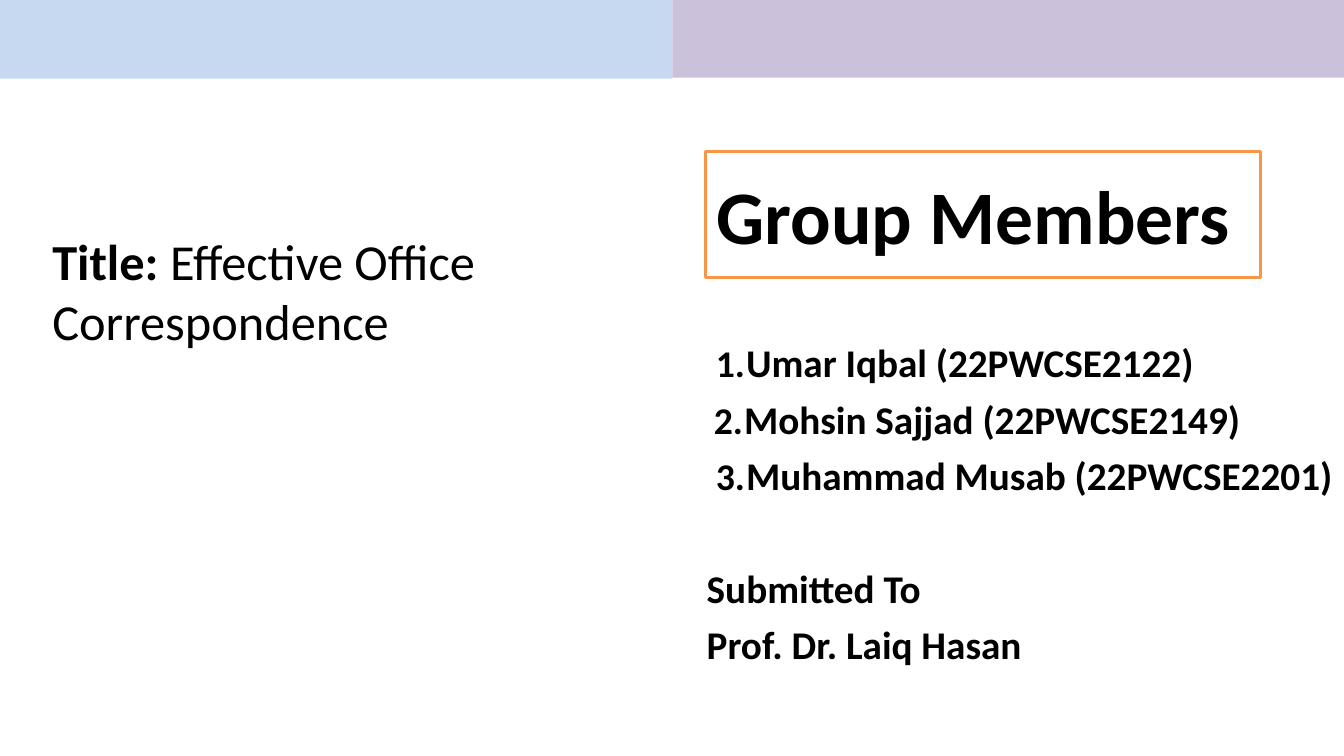
from dataclasses import dataclass

from lxml.etree import SubElement
from pptx import Presentation
from pptx.dml.color import RGBColor
from pptx.enum.shapes import MSO_SHAPE
from pptx.enum.text import MSO_ANCHOR, PP_ALIGN
from pptx.oxml.ns import qn
from pptx.util import Inches, Pt


@dataclass(frozen=True)
class Theme:
    font: str = "Calibri"
    text: RGBColor = RGBColor(0x00, 0x00, 0x00)
    paper: RGBColor = RGBColor(0xFF, 0xFF, 0xFF)
    blue: RGBColor = RGBColor(0xC6, 0xD9, 0xF1)
    purple: RGBColor = RGBColor(0xCC, 0xC1, 0xDA)
    orange: RGBColor = RGBColor(0xF7, 0x96, 0x46)
    heading_size: int = 54
    title_size: int = 36
    body_size: int = 28


THEME = Theme()

MEMBERS = [
    "Umar Iqbal (22PWCSE2122)",
    "Mohsin Sajjad (22PWCSE2149)",
    "Muhammad Musab (22PWCSE2201)",
]
MEMBER_INDENTS = [0.4, 0.38, 0.4]
SUBMITTED_TO = ["Submitted To", "Prof. Dr. Laiq Hasan"]


def add_panel(slide, left, top, width, height, fill, line=None):
    """Add a flat rectangle, outlined only when a line colour is given."""
    shape = slide.shapes.add_shape(
        MSO_SHAPE.RECTANGLE, Inches(left), Inches(top), Inches(width), Inches(height)
    )
    shape.shadow.inherit = False
    shape.fill.solid()
    shape.fill.fore_color.rgb = fill
    if line is None:
        shape.line.fill.background()
    else:
        shape.line.color.rgb = line
        shape.line.width = Pt(2)
    shape.text_frame.word_wrap = True
    shape.text_frame.vertical_anchor = MSO_ANCHOR.MIDDLE
    return shape


def format_run(run, size, bold=True):
    run.font.name = THEME.font
    run.font.size = Pt(size)
    run.font.bold = bold
    run.font.color.rgb = THEME.text


def write_paragraph(paragraph, text, size, space_before=0.0):
    paragraph.text = text
    paragraph.alignment = PP_ALIGN.LEFT
    paragraph.space_before = Pt(space_before)
    for run in paragraph.runs:
        format_run(run, size)


def set_indent(paragraph, margin, first_line=0.0):
    properties = paragraph._p.get_or_add_pPr()
    properties.set("marL", str(Inches(margin)))
    properties.set("indent", str(Inches(first_line)))
    return properties


def number_paragraph(paragraph, margin):
    """Give the paragraph an automatic number on a hanging indent."""
    properties = set_indent(paragraph, margin, -0.3)
    SubElement(properties, qn("a:buSzPct"), val="96000")
    SubElement(properties, qn("a:buFont"), typeface=THEME.font)
    SubElement(properties, qn("a:buAutoNum"), type="arabicPeriod")
    tabs = SubElement(properties, qn("a:tabLst"))
    SubElement(tabs, qn("a:tab"), pos=str(Inches(margin)), algn="l")


def add_member_list(slide):
    box = slide.shapes.add_textbox(Inches(7), Inches(3.25), Inches(6.33), Inches(3.41))
    frame = box.text_frame
    frame.word_wrap = True
    frame.margin_left = frame.margin_right = frame.margin_bottom = 0
    frame.margin_top = Inches(0.11)

    # Numbered members
    for index, (member, margin) in enumerate(zip(MEMBERS, MEMBER_INDENTS)):
        paragraph = frame.add_paragraph() if index else frame.paragraphs[0]
        write_paragraph(paragraph, member, THEME.body_size, 6.7)
        number_paragraph(paragraph, margin)

    # Recipient, set apart by a wide gap
    for text, gap in zip(SUBMITTED_TO, (46.9, 6.7)):
        paragraph = frame.add_paragraph()
        write_paragraph(paragraph, text, THEME.body_size, gap)
        set_indent(paragraph, 0.01)


def add_heading(slide):
    panel = add_panel(slide, 7, 1.5, 5.5, 1.25, THEME.paper, THEME.orange)
    paragraph = panel.text_frame.paragraphs[0]
    write_paragraph(paragraph, "Group Members", THEME.heading_size, 7.7)
    set_indent(paragraph, 0.01)


def add_title(slide):
    panel = add_panel(slide, 0.42, 1.24, 6.25, 3.28, THEME.paper)
    paragraph = panel.text_frame.paragraphs[0]
    write_paragraph(paragraph, "Title: ", THEME.title_size)
    subject = paragraph.add_run()
    subject.text = "Effective Office Correspondence"
    format_run(subject, THEME.title_size, bold=False)


def main():
    presentation = Presentation()
    presentation.slide_width = Inches(13.33)
    presentation.slide_height = Inches(7.5)
    slide = presentation.slides.add_slide(presentation.slide_layouts[6])

    # Text
    add_member_list(slide)
    add_heading(slide)
    add_title(slide)

    # Bands along the top
    add_panel(slide, 0, 0, 6.67, 0.78, THEME.blue)
    add_panel(slide, 6.67, 0, 6.66, 0.77, THEME.purple)

    presentation.save("out.pptx")


if __name__ == "__main__":
    main()
